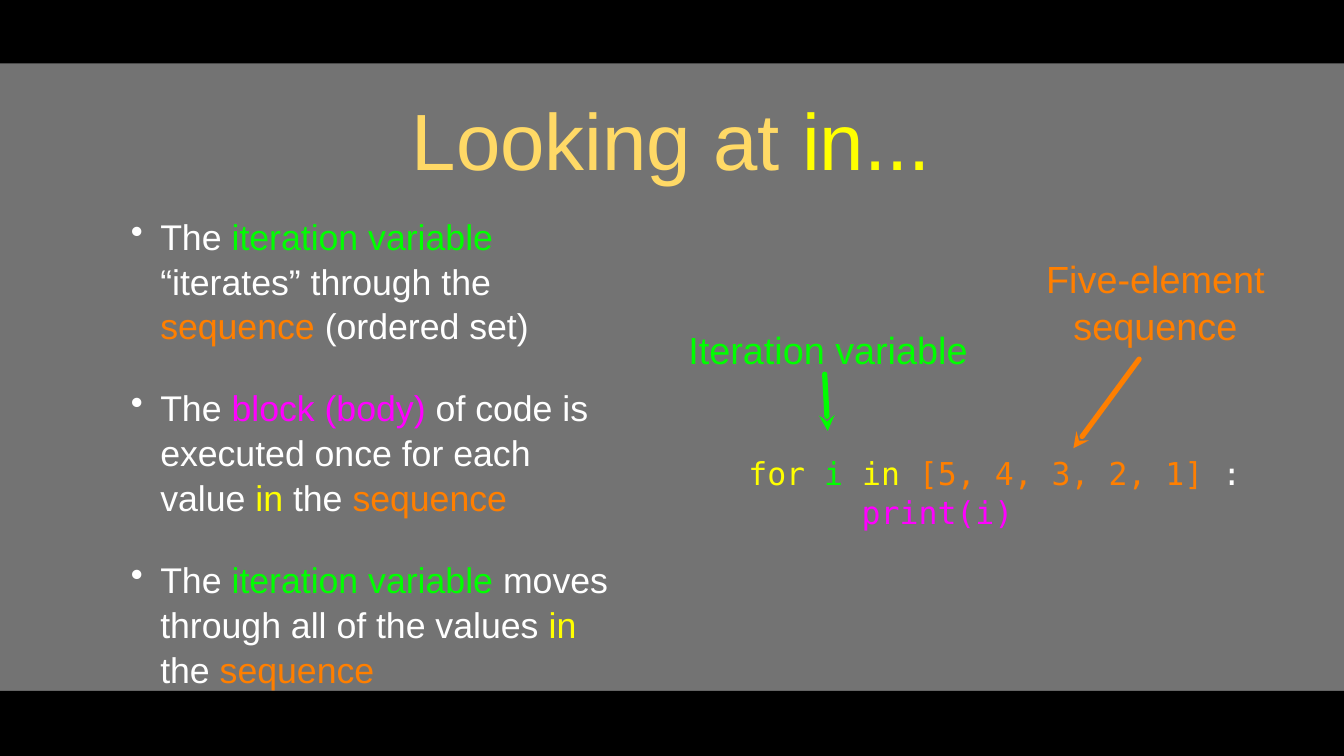
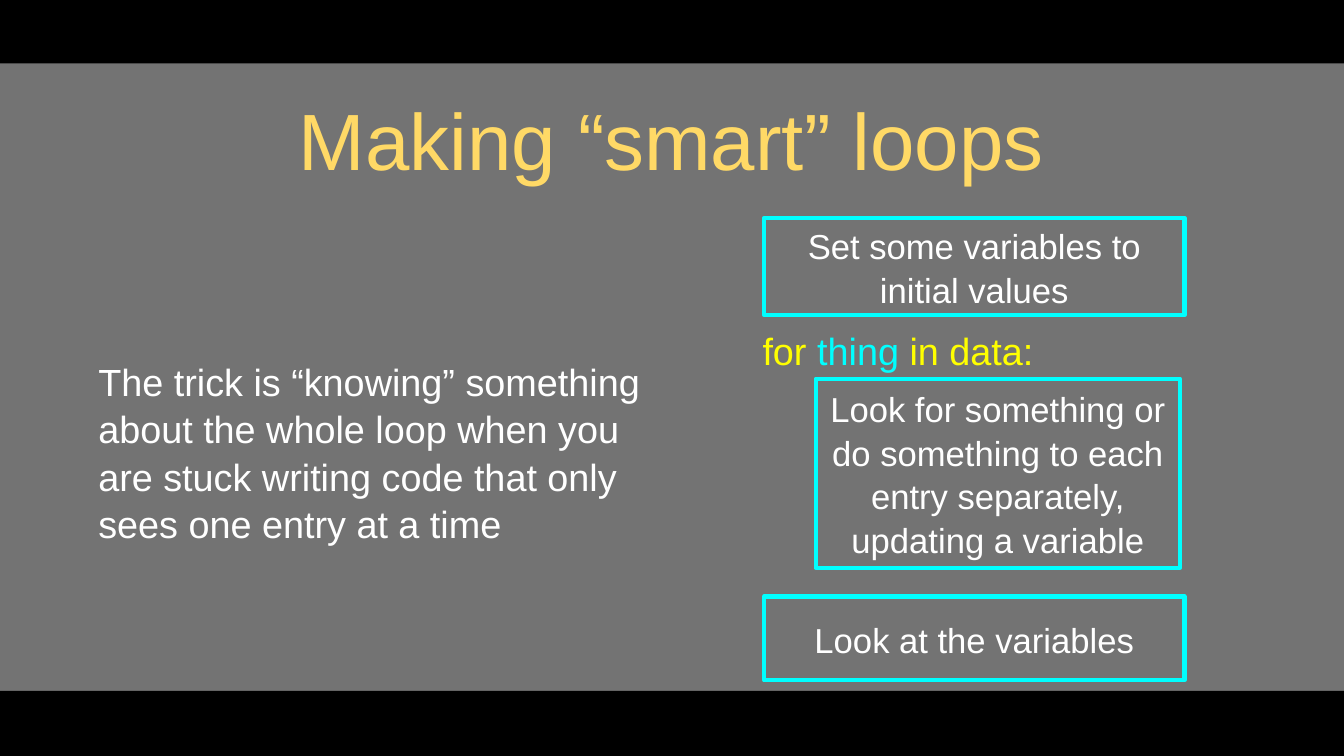
from lxml import etree
from pptx import Presentation
from pptx import util as u
from pptx.dml.color import RGBColor
from pptx.enum import shapes, text
from pptx.oxml.ns import qn

BLACK, GREY, WHITE = "000000", "737373", "FFFFFF"
GOLD, YELLOW, ORANGE = "FFD966", "FFFF00", "FF7F00"
GREEN, MAGENTA, CYAN = "00FF00", "FF00FF", "00FFFF"
CENTER, LEFT = text.PP_ALIGN.CENTER, text.PP_ALIGN.LEFT


def colour(value):
    return RGBColor.from_string(value)


def write(box, paragraphs, size, align=LEFT, font="Arial", inset=0, spacing=1.05):
    """Fill a shape with paragraphs, each a list of (words, colour) spans."""
    frame = box.text_frame
    frame.word_wrap = True
    frame.auto_size = text.MSO_AUTO_SIZE.NONE
    frame.vertical_anchor = text.MSO_ANCHOR.MIDDLE
    frame.margin_left = frame.margin_right = u.Inches(inset)
    frame.margin_top = frame.margin_bottom = u.Inches(inset)
    for number, spans in enumerate(paragraphs):
        para = frame.add_paragraph() if number else frame.paragraphs[0]
        para.alignment = align
        para.line_spacing = spacing
        para.font.name = font
        para.font.size = u.Pt(size)
        for words, shade in spans:
            span = para.add_run()
            span.text = words
            span.font.color.rgb = colour(shade)
    return frame.paragraphs


deck = Presentation()
deck.slide_width, deck.slide_height = u.Inches(17.78), u.Inches(10)
layout = deck.slide_layouts[5]

# Shared background and titles
background = deck.slide_master.background.fill
background.solid()
background.fore_color.rgb = colour(GREY)

titles = [
    [("Looking at ", GOLD), ("in...", YELLOW)],
    [("Making “smart” loops", GOLD)],
]
pages = []
for spans in titles:
    page = deck.slides.add_slide(layout)
    title = page.shapes.title
    title.left, title.top = u.Inches(1.26), u.Inches(0.89)
    title.width, title.height = u.Inches(15.24), u.Inches(1.88)
    write(title, [spans], 76, CENTER, inset=0.04, spacing=1)
    pages.append(page)
in_page, loop_page = pages

# Black bands, drawn once and moved to the layout
for top, height in [(0, 0.84), (9.14, 0.86)]:
    band = in_page.shapes.add_shape(
        shapes.MSO_SHAPE.RECTANGLE, 0, u.Inches(top), deck.slide_width, u.Inches(height))
    band.shadow.inherit = False
    band.fill.solid()
    band.fill.fore_color.rgb = colour(BLACK)
    band.line.fill.background()
    layout.shapes.element.append(band.element)

# Slide 1: bullets
bullets = [
    [("The ", WHITE), ("iteration variable ", GREEN), ("“iterates” through the ", WHITE),
     ("sequence ", ORANGE), ("(ordered set)", WHITE)],
    [("The ", WHITE), ("block (body)", MAGENTA),
     (" of code is executed once for each value ", WHITE), ("in", YELLOW),
     (" the ", WHITE), ("sequence", ORANGE)],
    [("The ", WHITE), ("iteration variable ", GREEN),
     ("moves through all of the values ", WHITE), ("in", YELLOW),
     (" the ", WHITE), ("sequence", ORANGE)],
]
box = in_page.shapes.add_textbox(*map(u.Inches, (1.26, 2.85, 6.98, 6.24)))
for number, para in enumerate(write(box, bullets, 34, inset=0.04)):
    para.space_before = u.Pt(35 if number else 0)
    properties = para._p.get_or_add_pPr()
    properties.set("marL", str(u.Inches(0.82)))
    properties.set("indent", str(u.Inches(-0.39)))
    bullet_colour = etree.Element(qn("a:buClr"))
    etree.SubElement(bullet_colour, qn("a:srgbClr"), val=WHITE)
    bullet = etree.Element(qn("a:buChar"), char="•")
    run_defaults = properties.find(qn("a:defRPr"))
    run_defaults.addprevious(bullet_colour)
    run_defaults.addprevious(bullet)

# Slide 1: code
code = [
    [("for ", YELLOW), ("i ", GREEN), ("in ", YELLOW),
     ("[5, 4, 3, 2, 1] ", ORANGE), (":", WHITE)],
    [("print(i)", MAGENTA)],
]
box = in_page.shapes.add_textbox(*map(u.Inches, (9.9, 5.77, 6.96, 1.46)))
lines = write(box, code, 30, font="DejaVu Sans Mono")
lines[1]._p.get_or_add_pPr().set("marL", str(u.Inches(1.5)))

# Slide 1: labels with arrows to the code
labels = [
    ("Iteration variable", GREEN, (9.07, 4.27, 3.77, 0.68), (10.91, 4.95, 10.95, 5.7)),
    ("Five-element sequence", ORANGE, (13.11, 3.41, 4.35, 1.14), (15.07, 4.75, 14.2, 5.93)),
]
for words, shade, place, ends in labels:
    box = in_page.shapes.add_textbox(*map(u.Inches, place))
    write(box, [[(words, shade)]], 36, CENTER)
    arrow = in_page.shapes.add_connector(
        shapes.MSO_CONNECTOR.STRAIGHT, *map(u.Inches, ends))
    arrow.line.color.rgb = colour(shade)
    arrow.line.width = u.Pt(5)
    outline = arrow.line._get_or_add_ln()
    outline.set("cap", "rnd")
    etree.SubElement(outline, qn("a:tailEnd"), type="stealth")
    etree.SubElement(arrow.element.spPr, qn("a:effectLst"))

# Slide 2: statement
statement = ("The trick is “knowing” something about the whole loop when you "
             "are stuck writing code that only sees one entry at a time")
box = loop_page.shapes.add_textbox(*map(u.Inches, (1.26, 2.85, 7.49, 6.24)))
write(box, [[(statement, WHITE)]], 36, inset=0.04)

# Slide 2: outlined steps of the loop
steps = [
    ("Set some variables to initial values", (10.11, 2.88, 5.56, 1.29)),
    ("Look for something or do something to each entry separately, updating a variable",
     (10.79, 5.01, 4.82, 2.5)),
    ("Look at the variables", (10.11, 7.89, 5.56, 1.11)),
]
for words, place in steps:
    step = loop_page.shapes.add_shape(
        shapes.MSO_SHAPE.RECTANGLE, *map(u.Inches, place))
    step.shadow.inherit = False
    step.fill.background()
    step.line.color.rgb = colour(CYAN)
    step.line.width = u.Pt(4)
    write(step, [[(words, WHITE)]], 33, CENTER)

# Slide 2: loop header
box = loop_page.shapes.add_textbox(*map(u.Inches, (10.02, 4.28, 3.72, 0.68)))
header = [("for ", YELLOW), ("thing", CYAN), (" in data:", YELLOW)]
write(box, [header], 36, CENTER)

deck.save("out.pptx")
